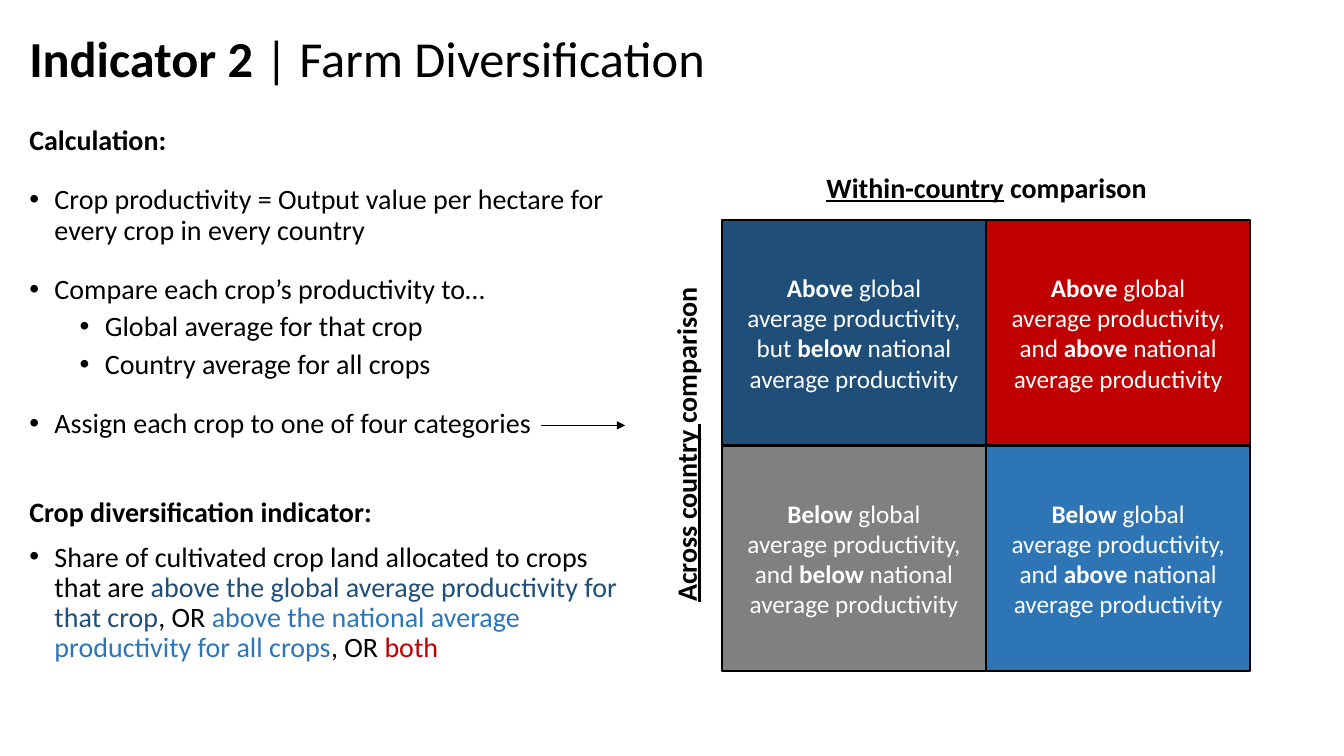
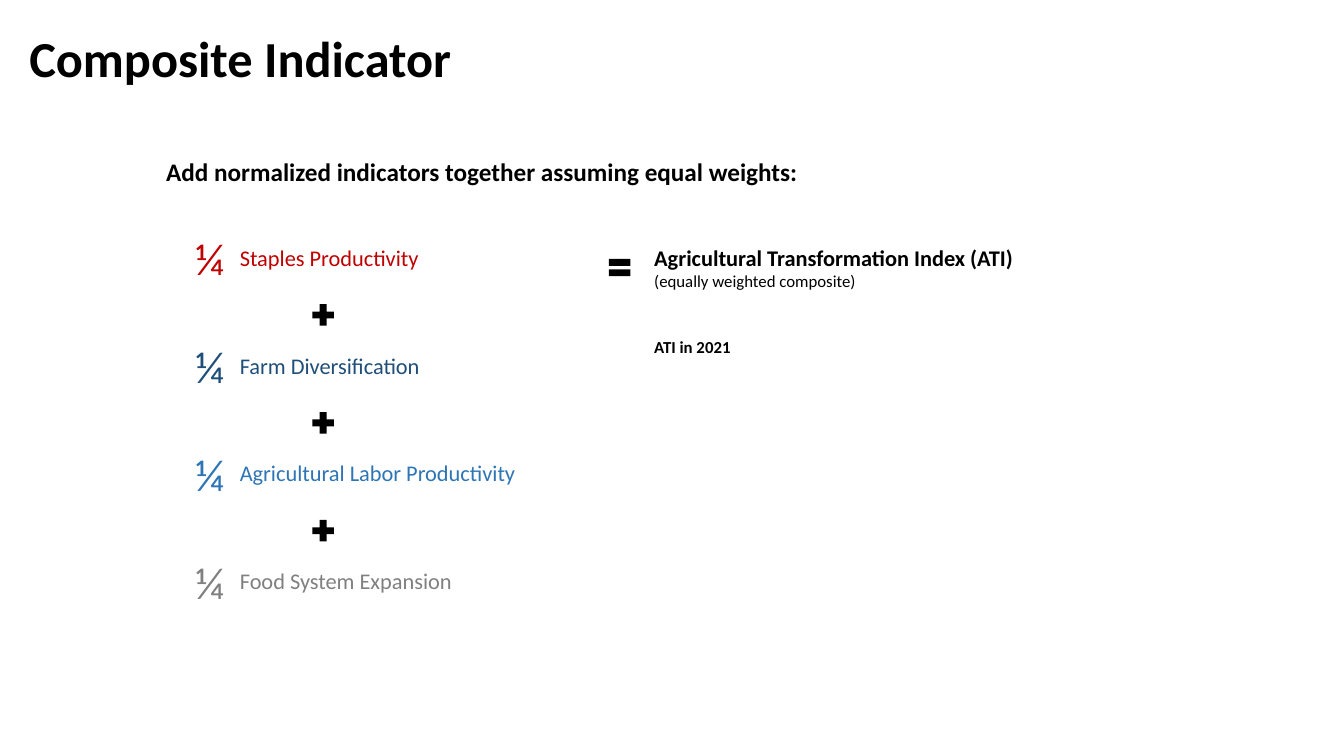
"""Build two slides on the farm diversification and composite indicators."""
from dataclasses import dataclass

from lxml import etree
from pptx import Presentation
from pptx import util as u
from pptx.dml.color import RGBColor
from pptx.enum import shapes, text
from pptx.oxml.ns import qn


@dataclass(frozen=True)
class Theme:
    """Shared colours, type sizes and line widths."""
    font: str = "Calibri"
    black: str = "000000"
    white: str = "FFFFFF"
    red: str = "C00000"
    navy: str = "1F4E79"
    blue: str = "2E75B6"
    gray: str = "808080"
    title: int = 36
    quarter: int = 32
    body: int = 20
    lead: int = 18
    label: int = 16
    small: int = 12
    border: float = 1.5
    thin: float = 0.5


T = Theme()
WIDTH, HEIGHT = 13.33, 7.5
MARGIN = 0.19
BOLD, PLAIN, UNDER = {"bold": True}, {"bold": False}, {"underline": True}
LEFT, CENTER = text.PP_ALIGN.LEFT, text.PP_ALIGN.CENTER

DIVERSIFICATION_TITLE = [("Indicator 2 ", BOLD), "| Farm Diversification"]
COMPOSITE_TITLE = [("Composite Indicator", BOLD)]

# level None marks a heading; each row is level, space before, runs
BODY = [
    (None, 10, [("Calculation:", BOLD)]),
    (0, 21, ["Crop productivity = Output value per hectare for every crop in every country"]),
    (0, 21, ["Compare each crop’s productivity to…"]),
    (1, 5, ["Global average for that crop"]),
    (1, 5, ["Country average for all crops"]),
    (0, 21, ["Assign each crop to one of four categories"]),
    (None, 42, [("Crop diversification indicator:", BOLD)]),
    (0, 10, ["Share of cultivated crop land allocated to crops that are ",
             ("above the global average productivity for that crop", {"color": T.navy}),
             ", OR ",
             ("above the national average productivity for all crops", {"color": T.blue}),
             ", OR ", ("both", {"color": T.red})]),
]

MATRIX = [
    [("Above", "but", "below", T.navy), ("Above", "and", "above", T.red)],
    [("Below", "and", "below", T.gray), ("Below", "and", "above", T.blue)],
]
MATRIX_LEFT, MATRIX_TOP, CELL_W, CELL_H = 7.16, 2.18, 2.62, 2.24

AXES = [
    ((7.55, 1.64, 4.47, 0.44), 0, [("Within-country", UNDER), " comparison"]),
    ((4.57, 4.19, 4.47, 0.44), 270, [("Across country ", UNDER), "comparison"]),
]

COMPONENTS = [
    ("Staples Productivity", T.red),
    ("Farm Diversification", T.navy),
    ("Agricultural Labor Productivity", T.blue),
    ("Food System Expansion", T.gray),
]
ROW_STEP, SIGN = 1.07, 0.29
LEAD = "Add normalized indicators together assuming equal weights:"
RESULT = [[("Agricultural Transformation Index (ATI)", BOLD)],
          [("(equally weighted composite)", {"size": T.small})]]


def inches(*lengths):
    """Convert lengths to inches."""
    return [u.Inches(n) for n in lengths]


def write(sp, paragraphs, align=LEFT, **base):
    """Fill a shape with paragraphs of runs; a run may override the base format."""
    tf = sp.text_frame
    tf.word_wrap = True
    for i, runs in enumerate(paragraphs):
        p = tf.paragraphs[0] if i == 0 else tf.add_paragraph()
        p.alignment = align
        for run in runs:
            words, extra = (run, {}) if isinstance(run, str) else run
            fmt = {"size": T.body, "color": T.black, "bold": False,
                   "underline": False, **base, **extra}
            r = p.add_run()
            r.text = words
            r.font.name = T.font
            r.font.size = u.Pt(fmt["size"])
            r.font.bold = fmt["bold"]
            r.font.underline = fmt["underline"]
            r.font.color.rgb = RGBColor.from_string(fmt["color"])
    return tf


def add_text(s, box, paragraphs, **fmt):
    """Add a text box that grows with its text."""
    sp = s.shapes.add_textbox(*inches(*box))
    write(sp, paragraphs, **fmt).auto_size = text.MSO_AUTO_SIZE.SHAPE_TO_FIT_TEXT
    return sp


def add_shape(s, kind, box, fill, border=None):
    """Add a flat filled preset shape with an optional black border."""
    sp = s.shapes.add_shape(kind, *inches(*box))
    sp.shadow.inherit = False
    sp.fill.solid()
    sp.fill.fore_color.rgb = RGBColor.from_string(fill)
    if border:
        sp.line.color.rgb = RGBColor.from_string(T.black)
        sp.line.width = u.Pt(border)
    else:
        sp.line.fill.background()
    return sp


def add_arrow(s, x1, y1, x2, y2):
    """Add a thin black arrow."""
    line = s.shapes.add_connector(shapes.MSO_CONNECTOR.STRAIGHT, *inches(x1, y1, x2, y2))
    line.line.color.rgb = RGBColor.from_string(T.black)
    line.line.width = u.Pt(T.thin)
    ln = line.line._get_or_add_ln()
    etree.SubElement(ln, qn("a:tailEnd"), type="triangle")
    etree.SubElement(line._element.spPr, qn("a:effectLst"))


def place(sp, *box):
    """Move and size a placeholder."""
    sp.left, sp.top, sp.width, sp.height = inches(*box)


def add_slide(prs, layout, title):
    """Add a slide with the shared title style."""
    s = prs.slides.add_slide(prs.slide_layouts[layout])
    place(s.shapes.title, MARGIN, 0.15, WIDTH - 0.41, 0.92)
    tf = write(s.shapes.title, [title], size=T.title)
    tf.auto_size = text.MSO_AUTO_SIZE.NONE
    tf.vertical_anchor = text.MSO_ANCHOR.MIDDLE
    tf.paragraphs[0].line_spacing = 0.9
    return s


def set_bullet(p, level):
    """Set the indent and bullet of a paragraph."""
    pPr = p._p.get_or_add_pPr()
    if level is None:
        pPr.set("marL", "0")
        pPr.set("indent", "0")
        etree.SubElement(pPr, qn("a:buNone"))
        return
    p.level = level
    pPr.set("marL", str(u.Inches(0.25 + 0.5 * level)))
    pPr.set("indent", str(u.Inches(-0.25)))
    etree.SubElement(pPr, qn("a:buFont"), typeface="Arial")
    etree.SubElement(pPr, qn("a:buChar"), char="•")


def diversification_slide(prs):
    """Show the calculation beside the two-by-two matrix."""
    s = add_slide(prs, 1, DIVERSIFICATION_TITLE)
    body = s.placeholders[1]
    place(body, MARGIN, 1.2, 6.09, 6.15)
    tf = write(body, [runs for _, _, runs in BODY])
    tf.auto_size = text.MSO_AUTO_SIZE.NONE
    for p, (level, before, _) in zip(tf.paragraphs, BODY):
        p.line_spacing = 0.9
        p.space_before = u.Pt(before)
        set_bullet(p, level)
    for row, cells in enumerate(MATRIX):
        for col, (world, joint, nation, fill) in enumerate(cells):
            box = (MATRIX_LEFT + col * CELL_W, MATRIX_TOP + row * CELL_H, CELL_W, CELL_H)
            cell = add_shape(s, shapes.MSO_SHAPE.RECTANGLE, box, fill, T.border)
            runs = [(world, BOLD), f" global average productivity, {joint} ",
                    (nation, BOLD), " national average productivity"]
            tf = write(cell, [runs], align=CENTER, size=T.lead, color=T.white)
            tf.margin_left = tf.margin_right = u.Inches(0.24)
            tf.vertical_anchor = text.MSO_ANCHOR.MIDDLE
    for box, turn, runs in AXES:
        add_text(s, box, [runs], align=CENTER, bold=True).rotation = turn
    add_arrow(s, 5.37, 4.22, 6.2, 4.22)


def composite_slide(prs):
    """Show the four equally weighted parts and their sum."""
    s = add_slide(prs, 5, COMPOSITE_TITLE)
    add_text(s, (1.55, 1.5, 6.87, 0.4), [[LEAD]], size=T.lead, bold=True)
    for i, (name, color) in enumerate(COMPONENTS):
        shift = i * ROW_STEP
        add_text(s, (1.84, 2.24 + shift, 0.5, 0.64), [["¼"]], size=T.quarter, color=color)
        add_text(s, (2.28, 2.37 + shift, 3.49, 0.37), [[name]], size=T.label, color=color)
        if i < len(COMPONENTS) - 1:
            add_shape(s, shapes.MSO_SHAPE.MATH_PLUS, (3.06, 2.98 + shift, SIGN, SIGN), T.black)
    add_shape(s, shapes.MSO_SHAPE.MATH_EQUAL, (6, 2.51, SIGN, SIGN), T.black)
    add_text(s, (6.39, 2.37, 3.88, 0.57), RESULT, size=T.label)
    add_text(s, (6.39, 3.29, 1.64, 0.3), [["ATI in 2021"]], size=T.small, bold=True)


def main():
    """Build and save the presentation."""
    prs = Presentation()
    prs.slide_width, prs.slide_height = inches(WIDTH, HEIGHT)
    diversification_slide(prs)
    composite_slide(prs)
    prs.save("out.pptx")


if __name__ == "__main__":
    main()
